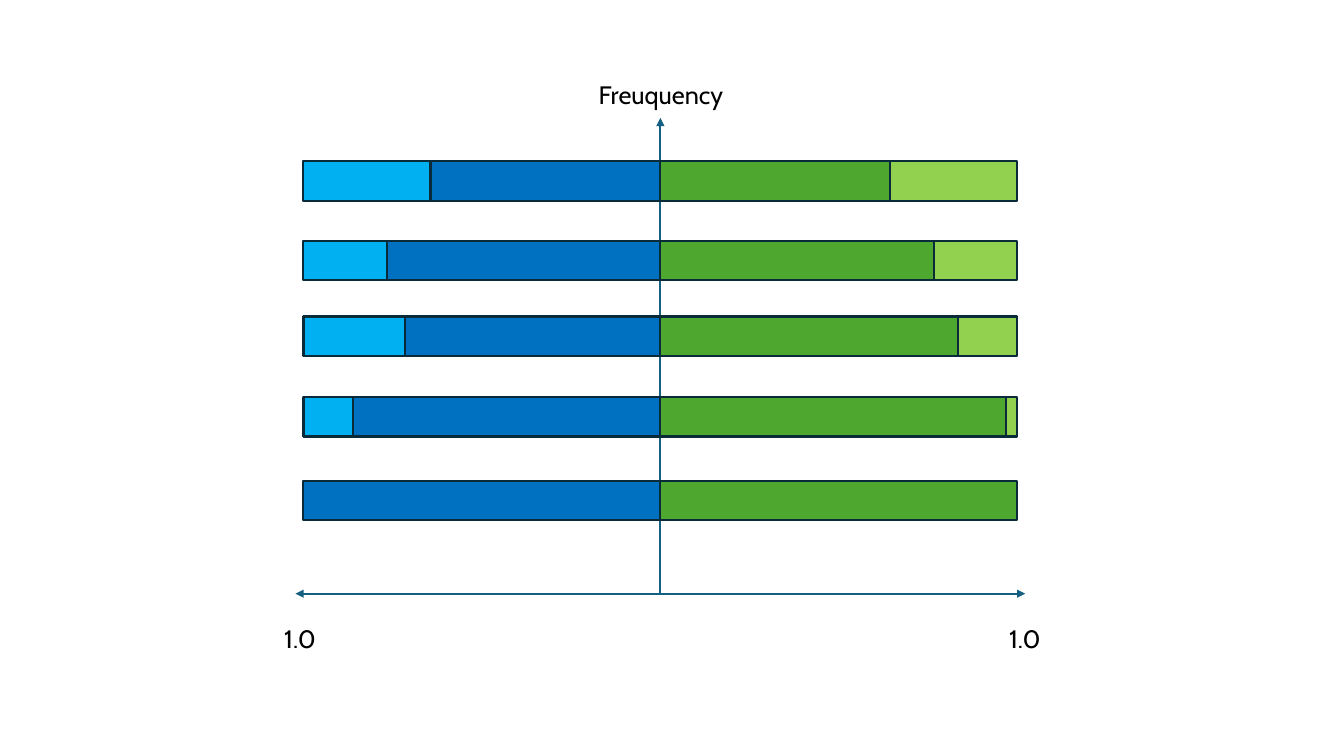
import dataclasses

import pptx
import pptx.dml.color
import pptx.enum.shapes
import pptx.enum.text
import pptx.oxml
import pptx.oxml.ns
import pptx.util

EMU_PER_PX = 9144  # 100 px to the inch


@dataclasses.dataclass(frozen=True)
class Theme:
    font: str = "Cabin"
    text_size: int = 18
    line_width: float = 1.5
    text: str = "000000"
    axis: str = "156082"
    outline: str = "092A39"
    left_inner: str = "0070C0"
    left_outer: str = "00B0F0"
    right_inner: str = "4EA72E"
    right_outer: str = "92D050"


@dataclasses.dataclass(frozen=True)
class Box:
    left: int
    top: int
    width: int
    height: int


THEME = Theme()
CHART = Box(301, 117, 708, 472)
BAR_HEIGHT = 39
AXIS_OVERHANG = 8

# Bar top below the chart top, then inner segment widths left and right.
BARS = [
    (43, 228, 228),
    (122, 271, 271),
    (197, 253, 295),
    (277, 305, 343),
    (360, 354, 354),
]


def px(length):
    return pptx.util.Emu(length * EMU_PER_PX)


def color(code):
    return pptx.dml.color.RGBColor.from_string(code)


def add_arrow(slide, start, end):
    arrow = slide.shapes.add_connector(
        pptx.enum.shapes.MSO_CONNECTOR.STRAIGHT, *map(px, start + end))
    arrow.line.color.rgb = color(THEME.axis)
    arrow.line.width = pptx.util.Pt(THEME.line_width)
    properties = arrow._element.spPr
    head = pptx.oxml.ns.qn("a:tailEnd")
    arrow.line._get_or_add_ln().append(
        properties.makeelement(head, {"type": "triangle"}))
    properties.append(properties.makeelement(pptx.oxml.ns.qn("a:effectLst"), {}))


def add_segment(slide, box, fill):
    segment = slide.shapes.add_shape(
        pptx.enum.shapes.MSO_SHAPE.RECTANGLE,
        px(box.left), px(box.top), px(box.width), px(box.height))
    segment.shadow.inherit = False
    segment.fill.solid()
    segment.fill.fore_color.rgb = color(fill)
    segment.line.color.rgb = color(THEME.outline)
    segment.line.width = pptx.util.Pt(THEME.line_width)


def add_label(slide, box, text):
    label = slide.shapes.add_textbox(
        px(box.left), px(box.top), px(box.width), px(box.height))
    frame = label.text_frame
    frame.word_wrap = True
    frame.auto_size = pptx.enum.text.MSO_AUTO_SIZE.SHAPE_TO_FIT_TEXT
    para = frame.paragraphs[0]
    para.text = text
    para.font.name = THEME.font
    para.font.size = pptx.util.Pt(THEME.text_size)
    para.font.color.rgb = color(THEME.text)


def add_axes(slide, box):
    """Draw three arrows from the middle of the box's bottom edge."""
    center = box.left + box.width // 2
    bottom = box.top + box.height
    ends = [
        (center, box.top),
        (box.left + box.width + AXIS_OVERHANG, bottom),
        (box.left - AXIS_OVERHANG, bottom),
    ]
    for end in ends:
        add_arrow(slide, (center, bottom), end)


def add_bars(slide, box):
    """Draw each bar outward from the center, inner segments first."""
    half = box.width // 2
    center = box.left + half
    right = box.left + box.width
    for offset, left_inner, right_inner in BARS:
        left_outer = half - left_inner
        right_outer = half - right_inner
        segments = [
            (center - left_inner, left_inner, THEME.left_inner),
            (center, right_inner, THEME.right_inner),
            (box.left, left_outer, THEME.left_outer),
            (right - right_outer, right_outer, THEME.right_outer),
        ]
        for left, width, fill in segments:
            if width:
                place = Box(left, box.top + offset, width, BAR_HEIGHT)
                add_segment(slide, place, fill)


def add_labels(slide, box):
    center = box.left + box.width // 2
    scale_top = box.top + box.height + 24
    add_label(slide, Box(center - 71, box.top - 43, 166, 40), "Freuquency")
    for left in (box.left - 29, box.left + box.width - 18):
        add_label(slide, Box(left, scale_top, 70, 40), "1.0")


def add_frequency_slide(deck, box):
    slide = deck.slides.add_slide(deck.slide_layouts[6])
    add_axes(slide, box)
    add_bars(slide, box)
    add_labels(slide, box)


def main():
    deck = pptx.Presentation()
    deck.slide_width = px(1333)
    deck.slide_height = px(750)
    add_frequency_slide(deck, CHART)
    deck.save("out.pptx")


if __name__ == "__main__":
    main()
